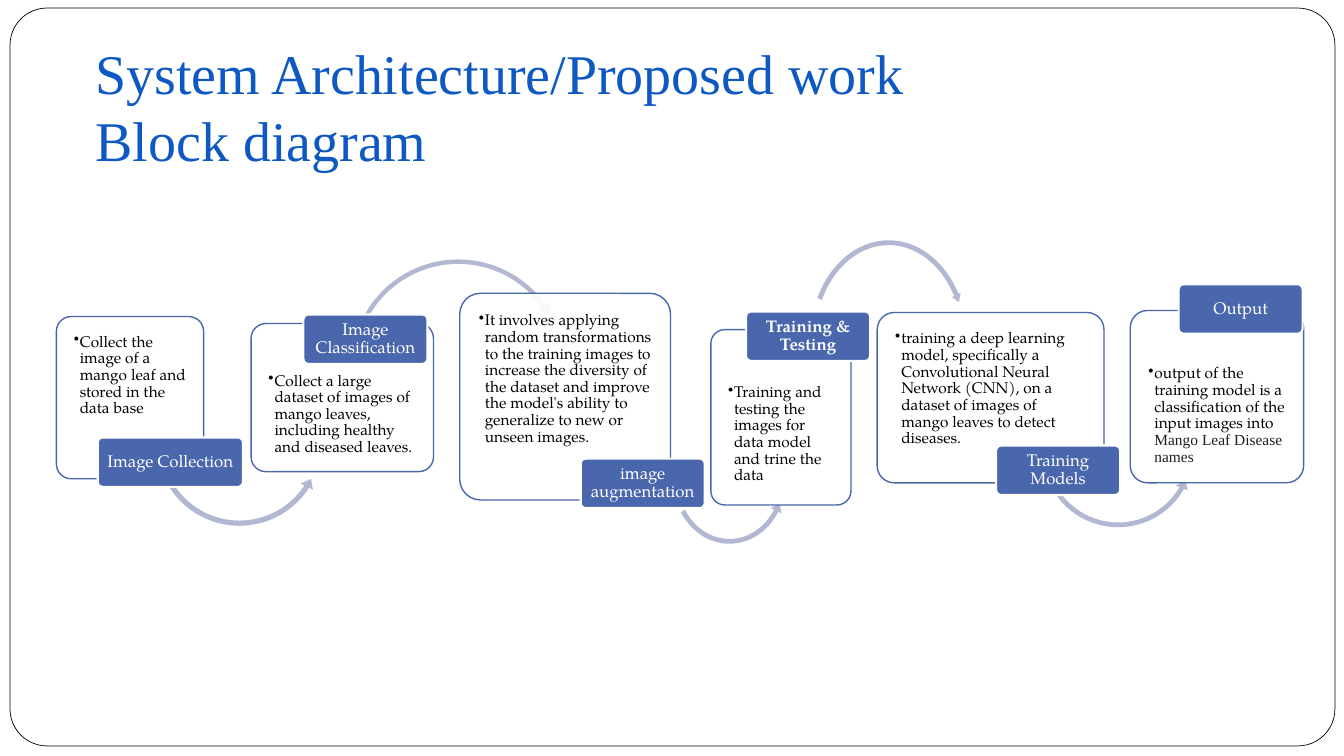
import pptx
import pptx.dml.color
import pptx.enum.shapes
import pptx.enum.text
import pptx.oxml
import pptx.oxml.ns
import pptx.util
from pptx.util import Inches

WHITE = pptx.dml.color.RGBColor(0xFF, 0xFF, 0xFF)
BLACK = pptx.dml.color.RGBColor(0x00, 0x00, 0x00)
CHARCOAL = pptx.dml.color.RGBColor(0x1F, 0x1F, 0x1F)
STAGE_BLUE = pptx.dml.color.RGBColor(0x4A, 0x66, 0xAC)
ARROW_BLUE = pptx.dml.color.RGBColor(0xB2, 0xB8, 0xD2)
TITLE_BLUE = pptx.dml.color.RGBColor(0x0E, 0x58, 0xC4)

BODY_FONT = "TeX Gyre Pagella"
TITLE_FONT = "Times New Roman"
SHAPES = pptx.enum.shapes.MSO_SHAPE
ALIGN = pptx.enum.text.PP_ALIGN
ANCHOR = pptx.enum.text.MSO_ANCHOR

BODY_FORMAT = {"name": BODY_FONT, "size": pptx.util.Pt(11)}
LABEL_FORMAT = {"name": BODY_FONT, "size": pptx.util.Pt(12)}
TITLE_FORMAT = {"name": TITLE_FONT, "size": pptx.util.Pt(40)}
LABEL_HEIGHT = 0.49
BODY_INSETS = (0.13, 0.13, 0.12, 0.13)  # left, top, right, bottom
LABEL_SHARE = 3 / 14  # part of a card's height kept free below a top label

# Each stage: card box, body runs, label (left, top, width), label text, label on top, arrow
STAGES = [
    {"card": (0.56, 3.14, 1.46, 1.61), "label": (0.97, 4.34, 1.44),
     "name": "Image Collection", "on_top": False,
     "body": [("Collect the image of a mango leaf and stored in the data base", {}, BLACK)],
     "arrow": ((1.51, 3.53, 1.73, 1.73), (0.03, 3.78, 19.78, 88.49, 0.04))},
    {"card": (2.49, 3.21, 1.81, 1.47), "label": (3.01, 3.12, 1.23),
     "name": "Image Classification", "on_top": True,
     "body": [("Collect a large dataset of images of mango leaves, including "
               "healthy and diseased leaves.", {}, BLACK)],
     "arrow": ((3.44, 2.53, 2.21, 2.21), (0.02, 2.91, 195.23, 125.66, 0.03))},
    {"card": (4.56, 2.91, 2.09, 2.05), "label": (5.76, 4.55, 1.23),
     "name": "image augmentation", "on_top": False,
     "body": [("It involves applying random transformations to the training images to "
               "increase the diversity of the dataset and improve the model's ability to "
               "generalize to new or unseen images.", {}, BLACK)],
     "arrow": ((6.64, 4.09, 1.19, 1.34), (0.04, 4.98, 20.15, 87.67, 0.05))},
    {"card": (7.05, 3.27, 1.39, 1.74), "label": (7.4, 3.09, 1.23),
     "name": "Training & Testing", "on_top": True, "bold": True,
     "body": [("Training and testing the images for data model and trine the data", {}, BLACK)],
     "arrow": ((8.01, 2.36, 1.61, 2.03), (0.03, 3.19, 195.74, 126.44, 0.03))},
    {"card": (8.7, 3.1, 2.25, 1.69), "label": (9.88, 4.42, 1.23),
     "name": "Training Models", "on_top": False,
     "body": [("training a deep learning model, specifically a Convolutional Neural Network "
               "(CNN), on a dataset of images of mango leaves to detect diseases.", {}, BLACK)],
     "arrow": ((10.3, 3.69, 1.58, 1.58), (0.03, 4.17, 17.86, 86.18, 0.04))},
    {"card": (11.21, 3.08, 1.72, 1.71), "label": (11.69, 2.82, 1.23),
     "name": "Output", "on_top": True,
     "body": [("output of the training model is a classification of the input images into ",
               {}, BLACK),
              ("Mango Leaf Disease names", {"name": TITLE_FONT}, CHARCOAL)],
     "arrow": None},
]


def apply_format(target, values):
    for name, value in values.items():
        setattr(target, name, value)


def add_run(paragraph, text, font_format, color):
    run = paragraph.add_run()
    run.text = text
    apply_format(run.font, font_format)
    run.font.color.rgb = color


def add_block(slide, kind, box, adjustments, fill, line=None, line_width=1):
    """Add a flat preset shape; without a line colour it has no outline."""
    shape = slide.shapes.add_shape(kind, *map(Inches, box))
    shape.shadow.inherit = False
    for index, value in enumerate(adjustments):
        shape.adjustments[index] = value
    shape.fill.solid()
    shape.fill.fore_color.rgb = fill
    if line is None:
        shape.line.fill.background()
    else:
        shape.line.color.rgb = line
        shape.line.width = pptx.util.Pt(line_width)
    return shape


def set_frame(shape, insets, anchor):
    left, top, right, bottom = map(Inches, insets)
    apply_format(shape.text_frame, {
        "word_wrap": True, "vertical_anchor": anchor,
        "margin_left": left, "margin_right": right,
        "margin_top": top, "margin_bottom": bottom})


def set_transparent(shape, opacity):
    color = shape.fill._xPr.find(".//" + pptx.oxml.ns.qn("a:srgbClr"))
    color.append(pptx.oxml.parse_xml(
        f'<a:alpha {pptx.oxml.ns.nsdecls("a")} val="{opacity * 1000}"/>'))


def add_bullet(paragraph):
    properties = paragraph._p.get_or_add_pPr()
    properties.set("marL", str(Inches(0.06)))
    properties.set("indent", str(Inches(-0.06)))
    properties.append(pptx.oxml.parse_xml(
        f'<a:buChar {pptx.oxml.ns.nsdecls("a")} char="•"/>'))


def add_card(slide, stage):
    card = add_block(slide, SHAPES.ROUNDED_RECTANGLE, stage["card"], [0.1], WHITE, STAGE_BLUE)
    set_transparent(card, 90)
    set_frame(card, BODY_INSETS, ANCHOR.TOP)
    if stage["on_top"]:
        height = stage["card"][3]
        card.text_frame.margin_top = Inches(BODY_INSETS[1] + height * LABEL_SHARE)
    paragraph = card.text_frame.paragraphs[0]
    apply_format(paragraph, {"alignment": ALIGN.LEFT, "line_spacing": 0.9})
    add_bullet(paragraph)
    for text, changes, color in stage["body"]:
        add_run(paragraph, text, {**BODY_FORMAT, **changes}, color)


def add_arrow(slide, stage):
    box, adjustments = stage["arrow"]
    kind = SHAPES.CIRCULAR_ARROW if stage["on_top"] else SHAPES.LEFT_CIRCULAR_ARROW
    add_block(slide, kind, box, adjustments, ARROW_BLUE)


def add_label(slide, stage):
    label = add_block(slide, SHAPES.ROUNDED_RECTANGLE, (*stage["label"], LABEL_HEIGHT),
                      [0.1], STAGE_BLUE, WHITE, 1.5)
    set_frame(label, (0.03, 0.02, 0.03, 0.02), ANCHOR.MIDDLE)
    paragraph = label.text_frame.paragraphs[0]
    apply_format(paragraph, {"alignment": ALIGN.CENTER, "line_spacing": 0.9})
    add_run(paragraph, stage["name"], {**LABEL_FORMAT, "bold": stage.get("bold", False)}, WHITE)


def add_title(slide):
    title = slide.shapes.add_textbox(*map(Inches, (0.85, 0.33, 9.67, 1.45)))
    set_frame(title, (0.1, 0.05, 0.1, 0.05), ANCHOR.TOP)
    paragraph = title.text_frame.paragraphs[0]
    add_run(paragraph, "System Architecture/Proposed work", TITLE_FORMAT, TITLE_BLUE)
    paragraph.add_line_break()
    add_run(paragraph, "Block diagram", TITLE_FORMAT, TITLE_BLUE)


def main():
    presentation = pptx.Presentation()
    presentation.slide_width = Inches(13.33)
    presentation.slide_height = Inches(7.5)
    slide = presentation.slides.add_slide(presentation.slide_layouts[6])

    # Page frame
    add_block(slide, SHAPES.ROUNDED_RECTANGLE, (0.1, 0.08, 13.14, 7.32), [0.05],
              WHITE, BLACK, 0.5)

    # Process stages, each later one lying over the arrow that leads to it
    for stage in STAGES:
        add_card(slide, stage)
        if stage["arrow"]:
            add_arrow(slide, stage)
        add_label(slide, stage)

    add_title(slide)
    presentation.save("out.pptx")


if __name__ == "__main__":
    main()
